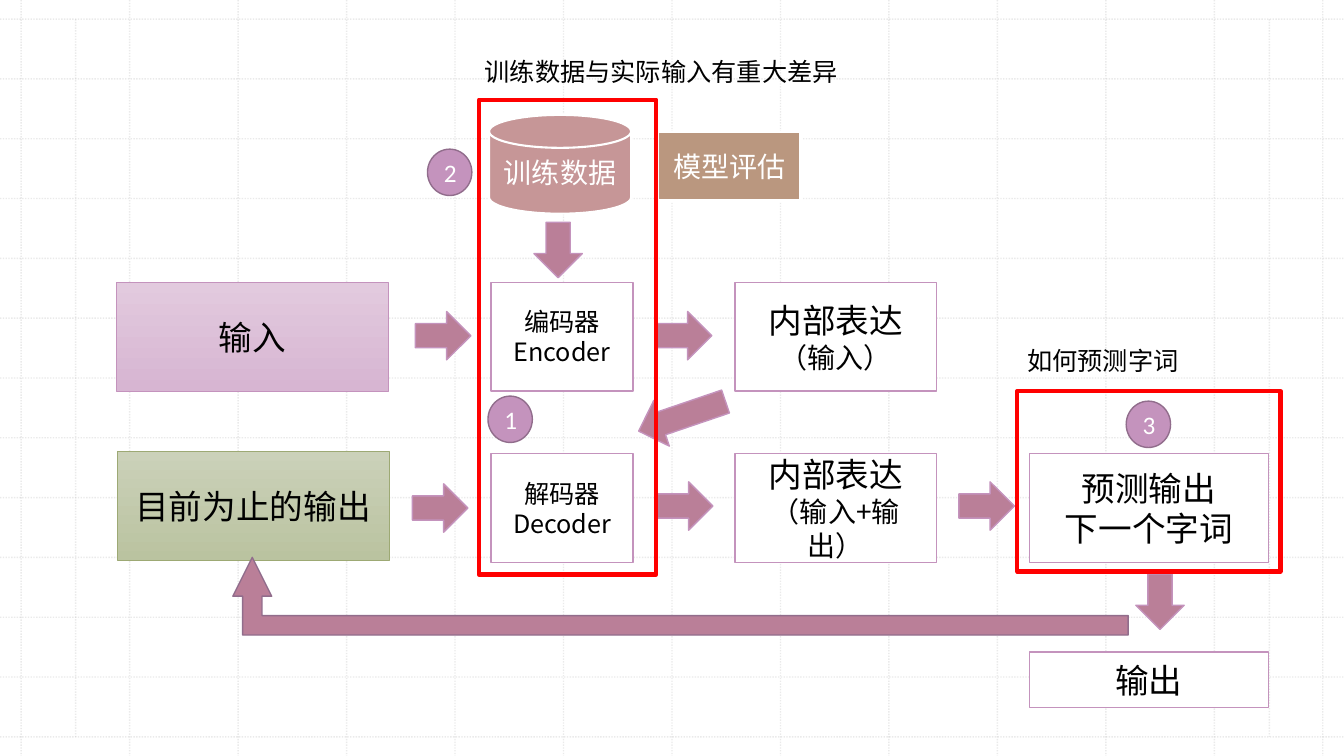
from dataclasses import dataclass

from lxml.etree import SubElement
from pptx import Presentation
from pptx.dml.color import RGBColor
from pptx.enum.dml import MSO_LINE
from pptx.enum.shapes import MSO_CONNECTOR, MSO_SHAPE as SHP
from pptx.enum.text import MSO_ANCHOR, MSO_AUTO_SIZE, PP_ALIGN
from pptx.oxml.ns import qn
from pptx.util import Inches, Pt

C = {
    "white": "FFFFFF", "black": "000000", "red": "FF0000", "grid": "BCBCBC",
    "lilac": "C493BD", "plum": "916D8C", "arrow": "BA7F98",
    "data": "C69697", "tan": "BA977F", "olive": "9DA974",
    "lilac_top": "E2CADE", "lilac_end": "D7B5D2",
    "olive_top": "CBD1B9", "olive_end": "BAC3A0",
}
CJK = "Noto Sans CJK TC"
WIDTH, HEIGHT = 13.33, 7.5
Line = tuple[str, float]  # text and its size in points


@dataclass
class Box:
    left: float
    top: float
    width: float
    height: float
    lines: tuple[Line, ...] = ()
    fill: tuple[str, ...] = ("white",)  # none, one colour, or a gradient's ends
    border: str = "lilac"
    weight: float = 1
    ink: str = "black"
    font: str = CJK
    kind: SHP = SHP.RECTANGLE


@dataclass
class Arrow:
    left: float
    top: float
    width: float = 0.55
    turn: float = 0


@dataclass
class Label:
    left: float
    top: float
    width: float
    text: str


def rgb(name: str) -> RGBColor:
    return RGBColor.from_string(C[name])


def grid_line(shapes, x1: float, y1: float, x2: float, y2: float) -> None:
    s = shapes.add_connector(MSO_CONNECTOR.STRAIGHT, *map(Inches, (x1, y1, x2, y2)))
    s.line.color.rgb = rgb("grid")
    s.line.width = Pt(1)
    s.line.dash_style = MSO_LINE.ROUND_DOT
    sp_pr = s._element.spPr
    SubElement(next(sp_pr.iter(qn("a:srgbClr"))), qn("a:alpha"), val="30000")
    SubElement(sp_pr, qn("a:effectLst"))


def add_run(p, text: str, size: float, font: str, ink: str) -> None:
    r = p.add_run()
    r.text = text
    r.font.size = Pt(size)
    r.font.name = font
    r.font.color.rgb = rgb(ink)
    SubElement(r._r.get_or_add_rPr(), qn("a:ea"), typeface=font)


def add_box(shapes, box: Box):
    s = shapes.add_shape(box.kind, *map(Inches, (box.left, box.top, box.width, box.height)))
    s.shadow.inherit = False
    s.line.color.rgb = rgb(box.border)
    s.line.width = Pt(box.weight)
    if not box.fill:
        s.fill.background()
    elif len(box.fill) == 1:
        s.fill.solid()
        s.fill.fore_color.rgb = rgb(box.fill[0])
    else:
        s.fill.gradient()
        s.fill.gradient_angle = 270
        for stop, name, place in zip(s.fill.gradient_stops, box.fill, (0, 1)):
            stop.color.rgb = rgb(name)
            stop.position = place
    tf = s.text_frame
    tf.word_wrap = True
    tf.vertical_anchor = MSO_ANCHOR.MIDDLE
    for i, (text, size) in enumerate(box.lines):
        p = tf.add_paragraph() if i else tf.paragraphs[0]
        p.alignment = PP_ALIGN.CENTER
        add_run(p, text, size, box.font, box.ink)
    return s


def add_arrow(shapes, arrow: Arrow) -> None:
    s = add_box(shapes, Box(arrow.left, arrow.top, arrow.width, 0.48,
                            fill=("arrow",), kind=SHP.RIGHT_ARROW))
    s.rotation = arrow.turn


def add_label(shapes, label: Label) -> None:
    s = shapes.add_textbox(*map(Inches, (label.left, label.top, label.width, 0.4)))
    tf = s.text_frame
    tf.word_wrap = False
    tf.auto_size = MSO_AUTO_SIZE.SHAPE_TO_FIT_TEXT
    add_run(tf.paragraphs[0], label.text, 18, CJK, "black")


def badge(left: float, top: float, number: str) -> Box:
    return Box(left, top, 0.44, 0.46, ((number, 18),), ("lilac",), "plum",
               ink="white", font="Calibri", kind=SHP.OVAL)


STAGES = [
    Box(1.15, 2.8, 2.7, 1.08, (("输入", 24),), ("lilac_top", "lilac_end"), weight=0.5),
    Box(4.87, 2.8, 1.41, 1.08, (("编码器", 18), ("Encoder", 18))),
    Box(7.29, 2.8, 2, 1.08, (("内部表达", 24), ("（输入）", 20))),
    Box(4.87, 4.5, 1.41, 1.08, (("解码器", 18), ("Decoder", 18))),
    Box(7.29, 4.5, 2, 1.08, (("内部表达", 24), ("（输入+输出）", 20))),
    Box(10.21, 4.5, 2.37, 1.08, (("预测输出", 24), ("下一个字词", 24))),
    Box(1.16, 4.48, 2.7, 1.08, (("目前为止的输出", 24),), ("olive_top", "olive_end"),
        "olive", 0.5),
    Box(10.21, 6.47, 2.37, 0.55, (("输出", 24),)),
]
ARROWS = [
    Arrow(4.12, 3.09), Arrow(6.51, 3.09),
    Arrow(4.09, 4.8), Arrow(6.52, 4.78), Arrow(9.51, 4.78),
    Arrow(6.31, 3.89, 0.91, 161.2),
    Arrow(11.23, 5.73, turn=90), Arrow(5.26, 2.24, turn=90),
]
FEEDBACK = Box(2.31, 5.53, 8.88, 0.77, fill=("arrow",), border="plum",
               kind=SHP.BENT_UP_ARROW)
OVERLAYS = [
    Box(4.85, 1.14, 1.41, 0.98, (("训练数据", 20),), ("data",), "white", 1.5, "white",
        kind=SHP.FLOWCHART_MAGNETIC_DISK),
    Box(6.53, 1.31, 1.41, 0.68, (("模型评估", 20),), ("tan",), "white", 1.5, "white"),
    badge(4.84, 3.93, "1"),
    badge(4.24, 1.48, "2"),
    badge(11.17, 3.98, "3"),
    Box(4.75, 0.99, 1.76, 4.71, fill=(), border="red", weight=3),
    Box(10.09, 3.88, 2.61, 1.79, fill=(), border="red", weight=3),
]
LABELS = [
    Label(4.71, 0.51, 3.74, "训练数据与实际输入有重大差异"),
    Label(10.09, 3.38, 1.72, "如何预测字词"),
]


def main() -> None:
    prs = Presentation()
    prs.slide_width, prs.slide_height = Inches(WIDTH), Inches(HEIGHT)
    shapes = prs.slides.add_slide(prs.slide_layouts[6]).shapes

    # Background grid: twelve equal steps each way, plus two inner margins
    left, right, top, bottom = 0.21, 13.12, 0.19, 7.31
    for i in range(13):
        x = left + i * (right - left) / 12
        y = top + i * (bottom - top) / 12
        grid_line(shapes, x, 0, x, HEIGHT)
        grid_line(shapes, 0, y, WIDTH, y)
    for x in (0.75, 12.59):
        grid_line(shapes, x, top, x, bottom)

    # Stages and the arrows between them
    for box in STAGES:
        add_box(shapes, box)
    for arrow in ARROWS:
        add_arrow(shapes, arrow)

    # Feedback arrow, mirrored to point up at the left
    s = add_box(shapes, FEEDBACK)
    s._element.spPr.xfrm.set("flipH", "1")
    for i, value in enumerate((0.25, 0.25, 0.5)):
        s.adjustments[i] = value

    # Training data, badges, red frames and their labels
    for box in OVERLAYS:
        add_box(shapes, box)
    for label in LABELS:
        add_label(shapes, label)

    prs.save("out.pptx")


if __name__ == "__main__":
    main()
